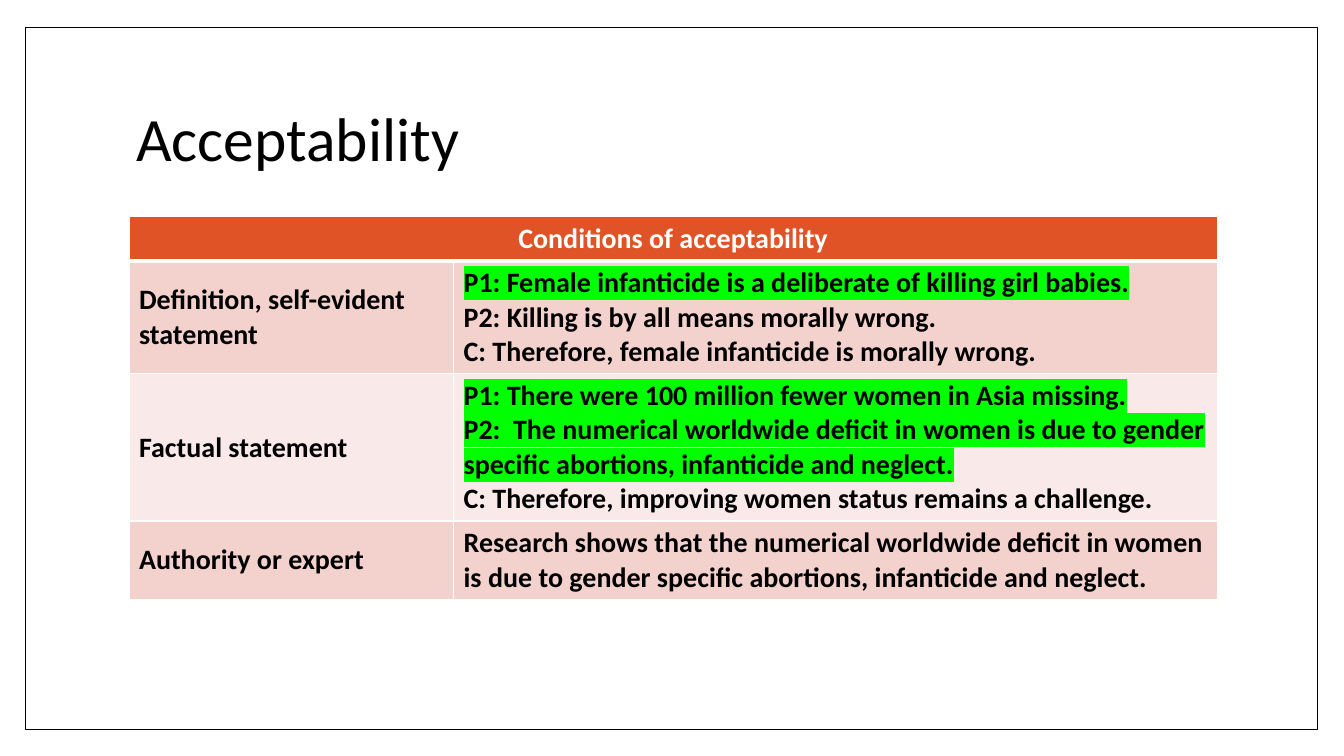
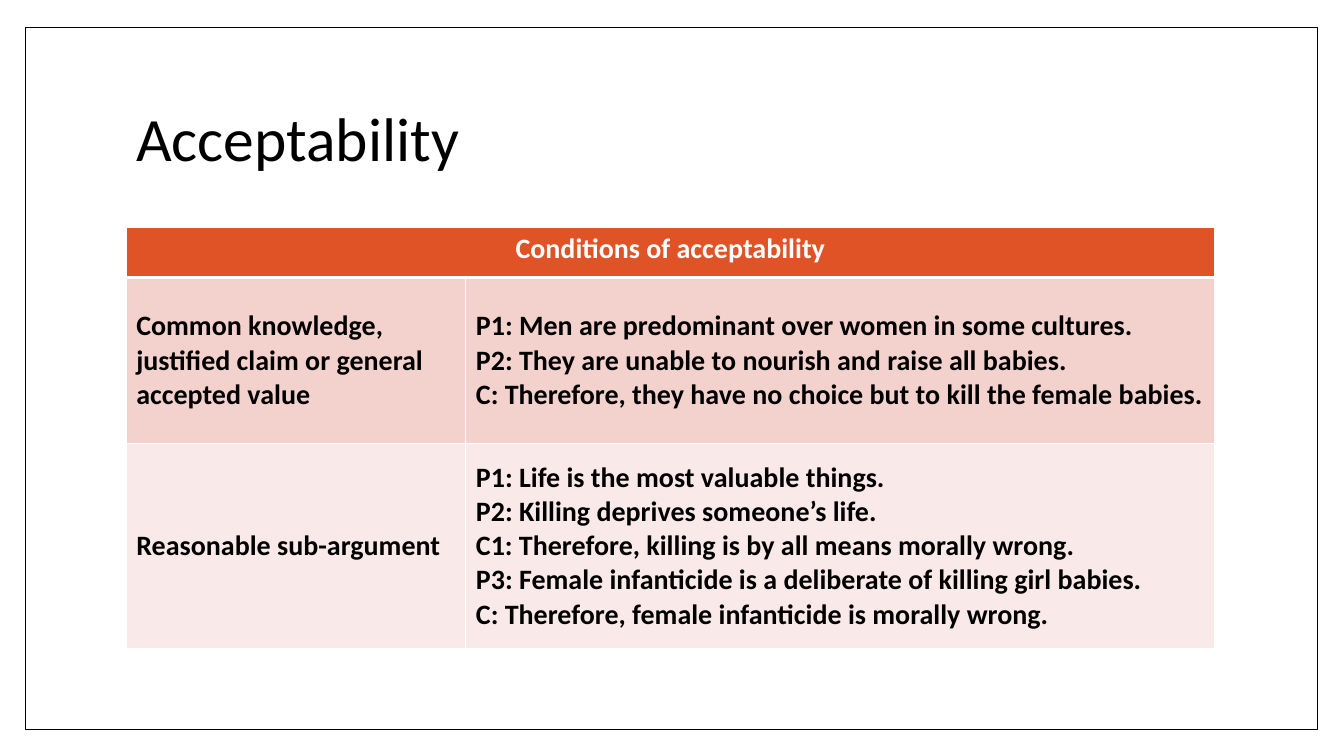
from lxml.etree import SubElement
from pptx import Presentation
from pptx.dml.color import RGBColor
from pptx.enum.shapes import MSO_SHAPE as Shape
from pptx.enum.text import MSO_ANCHOR as Anchor, PP_ALIGN as Align
from pptx.oxml import parse_xml
from pptx.oxml.ns import nsdecls, qn
from pptx.util import Cm, Pt

FONT = "Calibri"
BLACK, WHITE, ORANGE, GREEN = "000000", "FFFFFF", "DF5327", "00FF00"
BANDS = ["F3D1CD", "F9E9E8"]
TITLE = {"name": FONT, "size": Pt(44), "bold": False}
TABLE_TEXT = {"name": FONT, "size": Pt(20), "bold": True}
TABLE_WIDTH = 27.43

PAGES = [
    {
        "title": "Acceptability",
        "left": 3.25, "top": 5.46, "label_width": 8.18,
        "heights": [1.12, 2.84, 3.71, 1.98],
        "heading": "Conditions of acceptability",
        "conditions": [
            ("Definition, self-evident statement", [
                ("P1: Female infanticide is a deliberate of killing girl babies.", GREEN),
                ("P2: Killing is by all means morally wrong.", None),
                ("C: Therefore, female infanticide is morally wrong.", None),
            ]),
            ("Factual statement", [
                ("P1: There were 100 million fewer women in Asia missing.", GREEN),
                ("P2:  The numerical worldwide deficit in women is due to gender "
                 "specific abortions, infanticide and neglect.", GREEN),
                ("C: Therefore, improving women status remains a challenge.", None),
            ]),
            ("Authority or expert", [
                ("Research shows that the numerical worldwide deficit in women is due "
                 "to gender specific abortions, infanticide and neglect.", None),
            ]),
        ],
    },
    {
        "title": "Acceptability",
        "left": 3.18, "top": 5.72, "label_width": 8.56,
        "heights": [1.27, 4.19, 5.16],
        "heading": "Conditions of acceptability",
        "conditions": [
            ("Common knowledge, justified claim or general accepted value", [
                ("P1: Men are predominant over women in some cultures.", None),
                ("P2: They are unable to nourish and raise all babies.", None),
                ("C: Therefore, they have no choice but to kill the female babies.", None),
            ]),
            ("Reasonable sub-argument", [
                ("P1: Life is the most valuable things.", None),
                ("P2: Killing deprives someone’s life.", None),
                ("C1: Therefore, killing is by all means morally wrong.", None),
                ("P3: Female infanticide is a deliberate of killing girl babies.", None),
                ("C: Therefore, female infanticide is morally wrong.", None),
            ]),
        ],
    },
]


def color(value):
    return RGBColor.from_string(value)


def write(frame, lines, style, ink=BLACK, align=Align.LEFT):
    for index, (text, marker) in enumerate(lines):
        para = frame.add_paragraph() if index else frame.paragraphs[0]
        para.alignment = align
        span = para.add_run()
        span.text = text
        for name, value in style.items():
            setattr(span.font, name, value)
        span.font.color.rgb = color(ink)
        if marker:
            props = span._r.get_or_add_rPr()
            highlight = SubElement(props, qn("a:highlight"))
            SubElement(highlight, qn("a:srgbClr"), val=marker)
            props.find(qn("a:solidFill")).addnext(highlight)


def set_borders(cell, top=1, bottom=1):
    props = cell._tc.get_or_add_tcPr()
    widths = {"lnL": 1, "lnR": 1, "lnT": top, "lnB": bottom}
    for index, (side, width) in enumerate(widths.items()):
        props.insert(index, parse_xml(
            f'<a:{side} {nsdecls("a")} w="{Pt(width)}"><a:solidFill>'
            f'<a:srgbClr val="{WHITE}"/></a:solidFill></a:{side}>'))


def paint(cell, fill):
    cell.fill.solid()
    cell.fill.fore_color.rgb = color(fill)


def add_base(page, title):
    border = page.shapes.add_shape(Shape.RECTANGLE, Cm(0.64), Cm(0.69), Cm(32.56), Cm(17.7))
    border.shadow.inherit = False
    border.fill.solid()
    border.fill.fore_color.rgb = color(WHITE)
    border.line.color.rgb = color(BLACK)
    border.line.width = Pt(1)

    box = page.shapes.add_textbox(Cm(3.18), Cm(1.7), Cm(27.43), Cm(3.76))
    box.text_frame.word_wrap = True
    box.text_frame.vertical_anchor = Anchor.MIDDLE
    write(box.text_frame, [(title, None)], TITLE)
    box.text_frame.paragraphs[0].line_spacing = 0.9


def add_conditions(page, content):
    heights = content["heights"]
    table = page.shapes.add_table(
        len(heights), 2, Cm(content["left"]), Cm(content["top"]),
        Cm(TABLE_WIDTH), Cm(sum(heights))).table
    label_width = content["label_width"]
    for column, width in zip(table.columns, [label_width, TABLE_WIDTH - label_width]):
        column.width = Cm(width)
    for row, height in zip(table.rows, heights):
        row.height = Cm(height)

    heading = table.cell(0, 0)
    for cell in table.rows[0].cells:
        paint(cell, ORANGE)
        set_borders(cell, bottom=3)
    heading.merge(table.cell(0, 1))
    write(heading.text_frame, [(content["heading"], None)], TABLE_TEXT, WHITE, Align.CENTER)

    for index, (label, lines) in enumerate(content["conditions"]):
        cells = table.rows[index + 1].cells
        for cell, cell_lines in zip(cells, [[(label, None)], lines]):
            paint(cell, BANDS[index % 2])
            set_borders(cell, top=1 if index else 3)
            cell.vertical_anchor = Anchor.MIDDLE
            write(cell.text_frame, cell_lines, TABLE_TEXT)


def main():
    deck = Presentation()
    deck.slide_width, deck.slide_height = Cm(33.87), Cm(19.05)
    for content in PAGES:
        page = deck.slides.add_slide(deck.slide_layouts[6])
        add_base(page, content["title"])
        add_conditions(page, content)
    deck.save("out.pptx")


if __name__ == "__main__":
    main()
